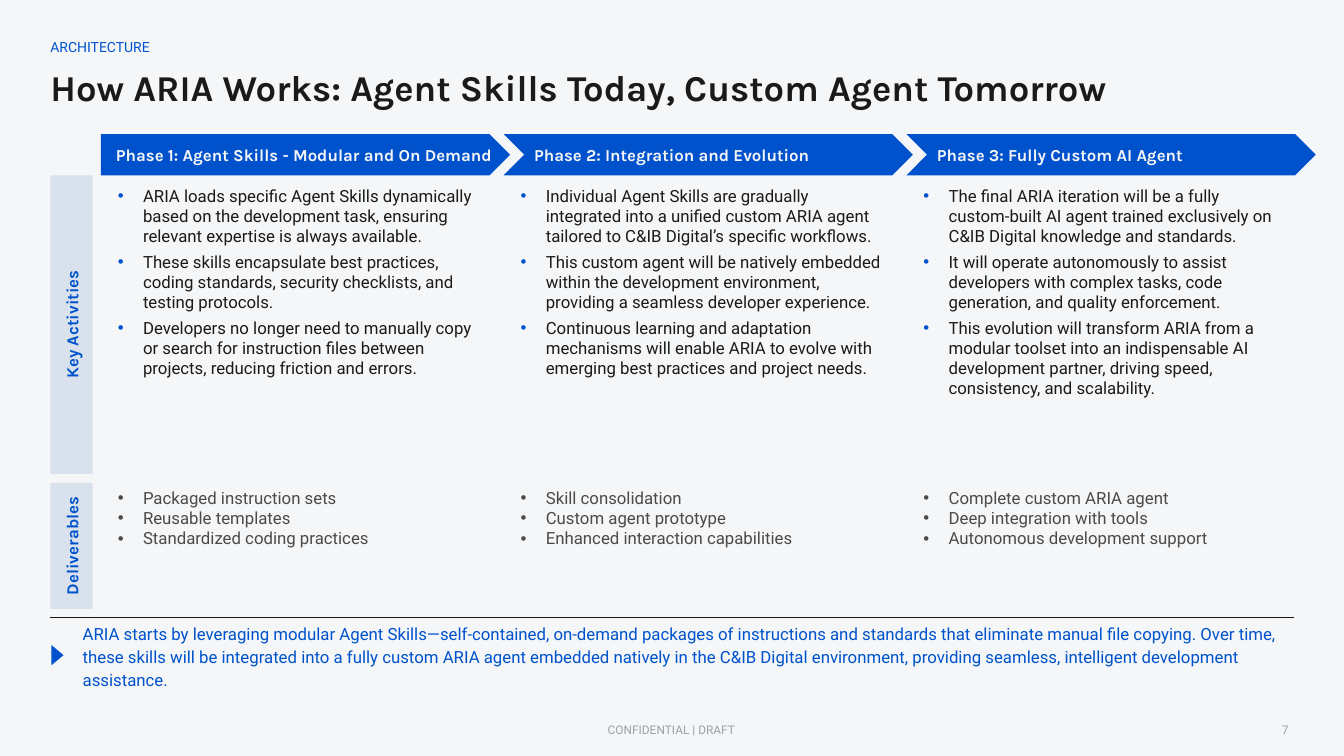
from lxml.etree import SubElement
from pptx import Presentation
from pptx.dml.color import RGBColor
from pptx.enum.shapes import MSO_CONNECTOR, MSO_SHAPE
from pptx.enum.text import MSO_ANCHOR, PP_ALIGN
from pptx.oxml.ns import qn
from pptx.util import Pt

PX = 9144

BLUE = RGBColor(0x00, 0x52, 0xCC)
PALE_BLUE = RGBColor(0xD9, 0xE2, 0xEC)
BACKGROUND = RGBColor(0xF4, 0xF6, 0xF8)
INK = RGBColor(0x1A, 0x1A, 0x1A)
GRAY = RGBColor(0x4A, 0x4A, 0x4A)
LIGHT_GRAY = RGBColor(0x9F, 0xA0, 0xA1)

PHASES = [
    ("Phase 1: Agent Skills - Modular and On Demand",
     ["ARIA loads specific Agent Skills dynamically based on the development task, ensuring relevant expertise is always available.",
      "These skills encapsulate best practices, coding standards, security checklists, and testing protocols.",
      "Developers no longer need to manually copy or search for instruction files between projects, reducing friction and errors."],
     ["Packaged instruction sets", "Reusable templates", "Standardized coding practices"]),
    ("Phase 2: Integration and Evolution",
     ["Individual Agent Skills are gradually integrated into a unified custom ARIA agent tailored to C&IB Digital’s specific workflows.",
      "This custom agent will be natively embedded within the development environment, providing a seamless developer experience.",
      "Continuous learning and adaptation mechanisms will enable ARIA to evolve with emerging best practices and project needs."],
     ["Skill consolidation", "Custom agent prototype", "Enhanced interaction capabilities"]),
    ("Phase 3: Fully Custom AI Agent",
     ["The final ARIA iteration will be a fully custom-built AI agent trained exclusively on C&IB Digital knowledge and standards.",
      "It will operate autonomously to assist developers with complex tasks, code generation, and quality enforcement.",
      "This evolution will transform ARIA from a modular toolset into an indispensable AI development partner, driving speed, consistency, and scalability."],
     ["Complete custom ARIA agent", "Deep integration with tools", "Autonomous development support"]),
]

SUMMARY = (
    "ARIA starts by leveraging modular Agent Skills—self-contained, on-demand packages of instructions "
    "and standards that eliminate manual file copying. Over time, these skills will be integrated into a "
    "fully custom ARIA agent embedded natively in the C&IB Digital environment, providing seamless, "
    "intelligent development assistance."
)


def emu(*lengths):
    return [round(n * PX) for n in lengths]


def write(sp, lines, color, size=12, font="Roboto", bold=False,
          align=PP_ALIGN.LEFT, anchor=MSO_ANCHOR.MIDDLE, margins=(5, 5, 5, 5)):
    tf = sp.text_frame
    tf.word_wrap = True
    tf.vertical_anchor = anchor
    tf.margin_left, tf.margin_top, tf.margin_right, tf.margin_bottom = emu(*margins)
    tf.text = "\n".join(lines)
    for p in tf.paragraphs:
        p.alignment = align
        for r in p.runs:
            r.font.name = font
            r.font.size = Pt(size)
            r.font.bold = bold
            r.font.color.rgb = color
    return tf


def add_text(s, box, lines, color, **style):
    return write(s.shapes.add_textbox(*emu(*box)), lines, color, **style)


def add_block(s, kind, box, fill):
    sp = s.shapes.add_shape(kind, *emu(*box))
    sp.shadow.inherit = False
    sp.fill.solid()
    sp.fill.fore_color.rgb = fill
    sp.line.fill.background()
    return sp


def add_bullets(s, box, lines, color, bullet_color, top, gap):
    tf = add_text(s, box, lines, color, anchor=MSO_ANCHOR.TOP, margins=(10, top, 10, 5))
    indent, hanging = emu(32, -25)
    for p in tf.paragraphs:
        p.space_after = Pt(gap)
        pPr = p._p.get_or_add_pPr()
        pPr.set("marL", str(indent))
        pPr.set("indent", str(hanging))
        clr = SubElement(SubElement(pPr, qn("a:buClr")), qn("a:srgbClr"))
        clr.set("val", str(bullet_color))
        SubElement(pPr, qn("a:buFont")).set("typeface", "Arial")
        SubElement(pPr, qn("a:buChar")).set("char", "•")


def add_header(s, x, y, w):
    add_text(s, (x, y + 12, w, 67),
             ["How ARIA Works: Agent Skills Today, Custom Agent Tomorrow"], INK,
             size=26, font="Karla", bold=True, margins=(0, 10, 0, 5))
    tf = add_text(s, (x, y, w, 20), ["ARCHITECTURE"], BLUE, size=10, margins=(0, 0, 0, 0))
    tf.paragraphs[0].line_spacing = 0.9


def add_row_label(s, x, y, w, h, label):
    sp = add_block(s, MSO_SHAPE.RECTANGLE, (x + (w - h) / 2, y + (h - w) / 2, h, w), PALE_BLUE)
    sp.rotation = 270
    write(sp, [label], BLUE, font="Karla", bold=True, align=PP_ALIGN.CENTER, margins=(2, 2, 2, 2))


def add_phase(s, x, y, w, phase, kind, inset):
    heading, activities, deliverables = phase
    sp = add_block(s, kind, (x, y, w + 21, 41), BLUE)
    write(sp, [heading], BACKGROUND, font="Karla", bold=True, margins=(inset, 5, 5, 5))
    add_bullets(s, (x, y + 41, w, 296), activities, INK, BLUE, top=10, gap=4)
    add_bullets(s, (x, y + 346, w, 125), deliverables, GRAY, GRAY, top=5, gap=0)


def add_phases(s, x, y):
    add_row_label(s, x, y + 41, 42, 296, "Key Activities")
    add_row_label(s, x, y + 346, 42, 125, "Deliverables")
    for i, phase in enumerate(PHASES):
        kind, inset = (MSO_SHAPE.CHEVRON, 10) if i else (MSO_SHAPE.PENTAGON, 15)
        add_phase(s, x + 50 + 399.5 * i, y, 385, phase, kind, inset)


def add_summary(s, x, y, w, h):
    x1, y1, x2, y2 = emu(x, y, x + w, y)
    rule = s.shapes.add_connector(MSO_CONNECTOR.STRAIGHT, x1, y1, x2, y2)
    rule.line.color.rgb = INK
    rule.line.width = Pt(0.75)
    SubElement(rule._element.spPr, qn("a:effectLst"))
    tf = add_text(s, (x + 27, y, w - 27, h), [SUMMARY], BLUE, margins=(5, 5, 10, 5))
    tf.paragraphs[0].line_spacing = 1.14
    marker = add_block(s, MSO_SHAPE.ISOSCELES_TRIANGLE, (x - 3, y + h / 2 - 6, 20, 12), BLUE)
    marker.rotation = 90


def add_footer(s, x, y, w):
    add_text(s, (x + 391, y, 450, 24), ["CONFIDENTIAL | DRAFT"], LIGHT_GRAY,
             size=8.5, align=PP_ALIGN.CENTER)
    add_text(s, (x + w - 300, y, 300, 24), ["7"], LIGHT_GRAY, size=8.5, align=PP_ALIGN.RIGHT)


def main():
    prs = Presentation()
    prs.slide_width, prs.slide_height = emu(1333, 750)
    s = prs.slides.add_slide(prs.slide_layouts[6])
    s.background.fill.solid()
    s.background.fill.fore_color.rgb = BACKGROUND
    add_header(s, 50, 38, 1233)
    add_phases(s, 50, 133)
    add_summary(s, 50, 613, 1233, 74)
    add_footer(s, 50, 712, 1233)
    prs.save("out.pptx")


if __name__ == "__main__":
    main()
